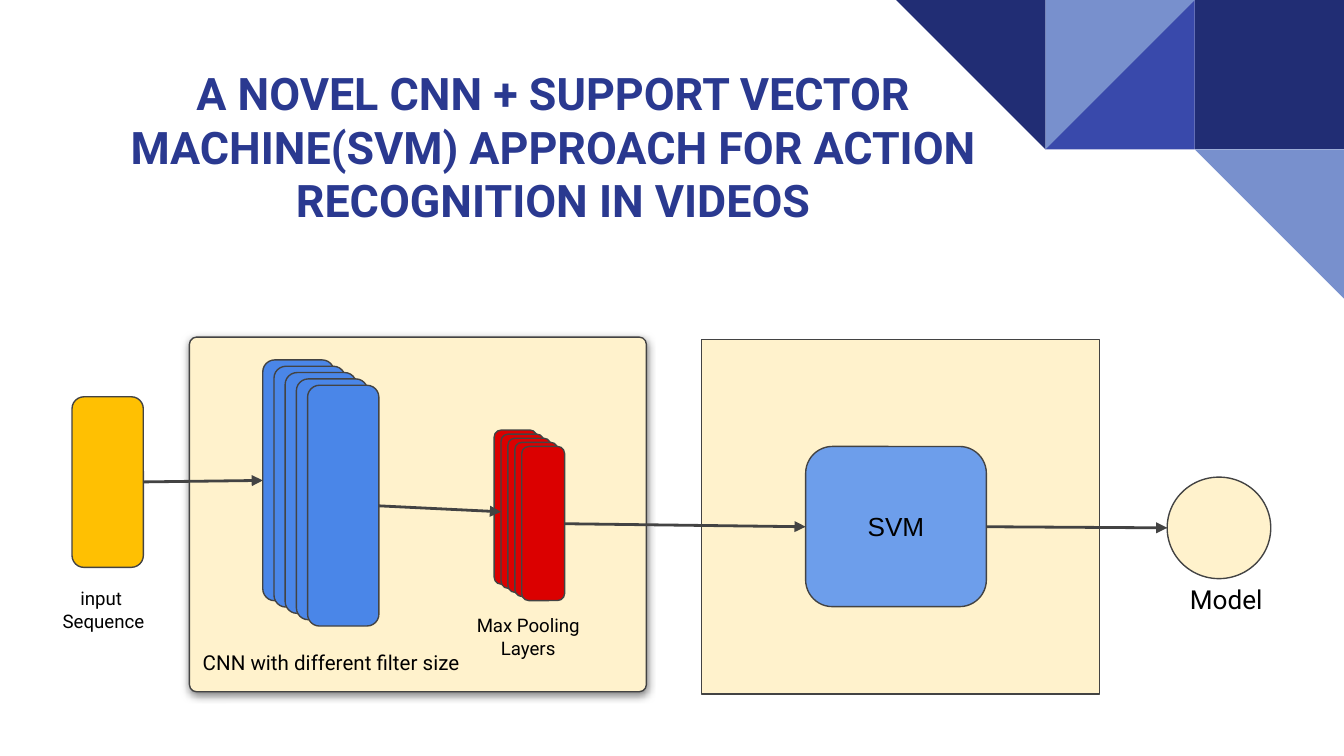
from dataclasses import dataclass

from lxml.etree import SubElement
from pptx import Presentation
from pptx.dml.color import RGBColor
from pptx.enum.shapes import MSO_CONNECTOR, MSO_SHAPE as Shp
from pptx.enum.text import MSO_ANCHOR as Anchor, MSO_AUTO_SIZE as Fit, PP_ALIGN as Align
from pptx.oxml import parse_xml
from pptx.oxml.ns import nsdecls, qn
from pptx.util import Pt

NAVY, INDIGO, PERIWINKLE = "212D74", "3949AB", "7890CD"
CREAM, OUTLINE, BLACK = "FFF2CC", "434343", "000000"
TILE = 80


@dataclass
class Tile:
    left: float
    top: float
    fill: str
    kind: Shp = Shp.RIGHT_TRIANGLE
    rotation: float = 0


@dataclass
class Block:
    left: float
    top: float
    width: float
    height: float
    fill: str
    kind: Shp = Shp.ROUNDED_RECTANGLE
    corner: float = 0.167


@dataclass
class Stack:
    back: Block
    dx: float
    dy: float
    count: int = 5


@dataclass
class Label:
    left: float
    top: float
    width: float
    height: float
    lines: list[str]
    size: float
    align: Align = Align.CENTER


@dataclass
class Arrow:
    x1: float
    y1: float
    x2: float
    y2: float


TILES = [
    Tile(640, 0, NAVY, Shp.RECTANGLE),
    Tile(560, 0, INDIGO, rotation=270),
    Tile(560, 0, PERIWINKLE, rotation=90),
    Tile(480, 0, NAVY, rotation=180),
    Tile(640, 80, PERIWINKLE, rotation=180),
]
INPUT = Block(38.6, 212.6, 38.2, 91.4, "FFC002")
CNN_PANEL = Block(101.5, 180.6, 244.8, 190, CREAM, corner=0.02)
SVM_PANEL = Block(375.8, 181.8, 213.2, 190, CREAM, corner=0)
STACKS = [
    Stack(Block(140.8, 192.8, 38.2, 129, "4A86E8"), 6, 3.4),
    Stack(Block(264.7, 230.4, 23, 82.6, "DB0000"), 3.7, 2.2),
]
SVM = Block(431.6, 239.2, 96.8, 85.8, "6D9EEB")
MODEL = Block(625.3, 255.6, 55.5, 54.4, CREAM, Shp.OVAL)
LABELS = [
    Label(24.4, 307.4, 62, 39, ["input ", "Sequence"], 10),
    Label(101.5, 341.3, 159, 28, ["CNN with different filter size"], 11, Align.LEFT),
    Label(618.4, 305.3, 77, 31.7, ["Model"], 14),
    Label(234.7, 321.8, 96.5, 39, ["Max Pooling Layers"], 10),
]
ARROWS = [
    Arrow(76.7, 258.2, 140.8, 257.4),
    Arrow(203, 271, 268.4, 274.2),
    Arrow(302.5, 280.6, 431.6, 282.2),
    Arrow(528.4, 282.2, 625.3, 282.8),
]


def rgb(color: str) -> RGBColor:
    return RGBColor.from_string(color)


def write(tf, lines: list[str], size: float, font: str = "Roboto", color: str = BLACK,
          align: Align = Align.CENTER, anchor: Anchor = Anchor.TOP, bold: bool = False) -> None:
    tf.word_wrap, tf.auto_size, tf.vertical_anchor = True, Fit.NONE, anchor
    tf.margin_left = tf.margin_right = tf.margin_top = tf.margin_bottom = Pt(7.2)
    for i, line in enumerate(lines):
        p = tf.add_paragraph() if i else tf.paragraphs[0]
        p.text, p.alignment = line, align
        p.font.name, p.font.size, p.font.bold = font, Pt(size), bold
        p.font.color.rgb = rgb(color)


def add_tile(s, tile: Tile) -> None:
    sp = s.shapes.add_shape(tile.kind, Pt(tile.left), Pt(tile.top), Pt(TILE), Pt(TILE))
    sp.shadow.inherit = False
    sp.fill.solid()
    sp.fill.fore_color.rgb = rgb(tile.fill)
    sp.line.fill.background()
    sp.rotation = tile.rotation


def add_block(s, b: Block):
    sp = s.shapes.add_shape(b.kind, Pt(b.left), Pt(b.top), Pt(b.width), Pt(b.height))
    sp.shadow.inherit = False
    sp.fill.solid()
    sp.fill.fore_color.rgb = rgb(b.fill)
    sp.line.color.rgb = rgb(OUTLINE)
    sp.line.width = Pt(0.75)
    if b.kind == Shp.ROUNDED_RECTANGLE:
        sp.adjustments[0] = b.corner
    return sp


def add_drop_shadow(sp) -> None:
    effects = sp._element.spPr.find(qn("a:effectLst"))
    effects.append(parse_xml(
        f'<a:outerShdw {nsdecls("a")} blurRad="{Pt(4.5)}" dist="{Pt(1.5)}" dir="5400000" '
        'algn="bl" rotWithShape="0"><a:srgbClr val="000000"><a:alpha val="50000"/>'
        '</a:srgbClr></a:outerShdw>'))


def add_stack(s, stack: Stack) -> None:
    b = stack.back
    for i in range(stack.count):
        add_block(s, Block(b.left + i * stack.dx, b.top + i * stack.dy,
                           b.width, b.height, b.fill))


def add_label(s, label: Label) -> None:
    sp = s.shapes.add_textbox(Pt(label.left), Pt(label.top), Pt(label.width), Pt(label.height))
    write(sp.text_frame, label.lines, label.size, align=label.align)


def add_arrow(s, a: Arrow) -> None:
    line = s.shapes.add_connector(MSO_CONNECTOR.STRAIGHT, Pt(a.x1), Pt(a.y1), Pt(a.x2), Pt(a.y2))
    line.line.color.rgb = rgb(OUTLINE)
    line.line.width = Pt(1.5)
    SubElement(line.line._get_or_add_ln(), qn("a:tailEnd"), type="triangle")
    SubElement(line._element.spPr, qn("a:effectLst"))


def main() -> None:
    prs = Presentation()
    prs.slide_width, prs.slide_height = Pt(720), Pt(405)
    s = prs.slides.add_slide(prs.slide_layouts[5])

    title = s.shapes.title
    title.left, title.top, title.width, title.height = Pt(18), Pt(26.6), Pt(556.6), Pt(102.2)
    write(title.text_frame,
          ["A NOVEL CNN + SUPPORT VECTOR MACHINE(SVM) APPROACH FOR ACTION RECOGNITION IN VIDEOS"],
          24, color="2A3990", anchor=Anchor.BOTTOM, bold=True)

    for tile in TILES:
        add_tile(s, tile)
    add_block(s, INPUT)
    add_drop_shadow(add_block(s, CNN_PANEL))
    add_block(s, SVM_PANEL)
    for stack in STACKS:
        add_stack(s, stack)
    svm = add_block(s, SVM)
    write(svm.text_frame, ["SVM"], 14, font="Arial", anchor=Anchor.MIDDLE)
    add_block(s, MODEL)
    for label in LABELS:
        add_label(s, label)
    for arrow in ARROWS:
        add_arrow(s, arrow)

    prs.save("out.pptx")


if __name__ == "__main__":
    main()
